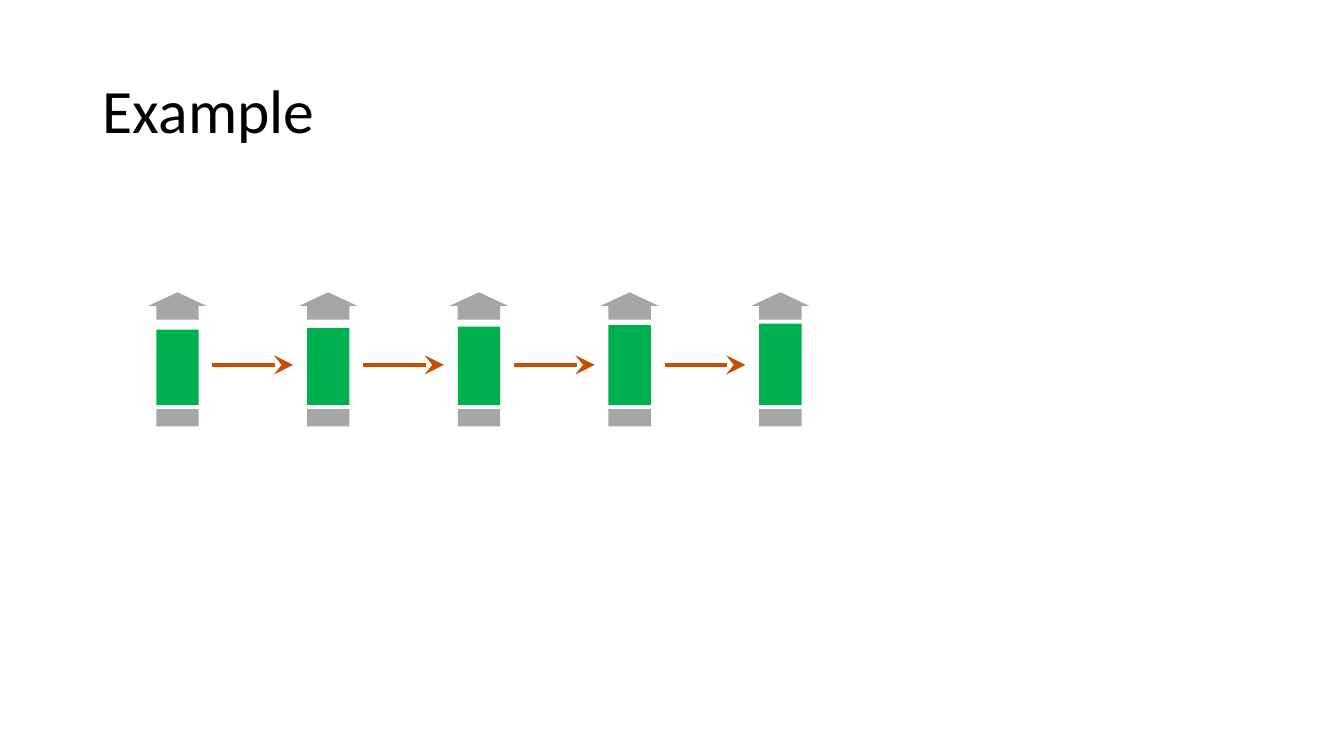
from dataclasses import dataclass

from lxml import etree
from pptx import Presentation
from pptx import util as u
from pptx.dml import color
from pptx.enum import shapes, text
from pptx.oxml import ns


@dataclass(frozen=True)
class Theme:
    font: str = "Calibri"
    title_size: float = 44
    arrow_width: float = 2.75
    ink: color.RGBColor = color.RGBColor.from_string("000000")
    bar: color.RGBColor = color.RGBColor.from_string("00B050")
    frame: color.RGBColor = color.RGBColor.from_string("A6A6A6")
    arrow: color.RGBColor = color.RGBColor.from_string("C64F00")


THEME = Theme()
STAGE_COUNT = 5


def place_title(slide, wording, left, top, width, height):
    title = slide.shapes.title
    title.left, title.top = u.Inches(left), u.Inches(top)
    title.width, title.height = u.Inches(width), u.Inches(height)
    frame = title.text_frame
    frame.text = wording
    frame.word_wrap = True
    frame.auto_size = text.MSO_AUTO_SIZE.NONE
    frame.vertical_anchor = text.MSO_ANCHOR.MIDDLE
    paragraph = frame.paragraphs[0]
    paragraph.alignment = text.PP_ALIGN.LEFT
    paragraph.line_spacing = 0.9
    paragraph.font.name = THEME.font
    paragraph.font.size = u.Pt(THEME.title_size)
    paragraph.font.color.rgb = THEME.ink


def add_block(slide, kind, fill, left, top, width, height):
    shape = slide.shapes.add_shape(
        kind, u.Inches(left), u.Inches(top), u.Inches(width), u.Inches(height)
    )
    shape.shadow.inherit = False
    shape.fill.solid()
    shape.fill.fore_color.rgb = fill
    shape.line.fill.background()
    return shape


def add_arrow(slide, left, middle, length):
    connector = slide.shapes.add_connector(
        shapes.MSO_CONNECTOR.STRAIGHT,
        u.Inches(left), u.Inches(middle), u.Inches(left + length), u.Inches(middle),
    )
    connector.line.color.rgb = THEME.arrow
    connector.line.width = u.Pt(THEME.arrow_width)
    etree.SubElement(
        connector.line._get_or_add_ln(), ns.qn("a:tailEnd"),
        type="stealth", w="lg", len="lg",
    )
    etree.SubElement(connector._element.spPr, ns.qn("a:effectLst"))


def add_stage(slide, left, top, width, height, bar_height):
    rectangle = shapes.MSO_SHAPE.RECTANGLE
    column_width, base_height, gap = 0.42, 0.17, 0.04
    column_left = left + (width - column_width) / 2
    base_top = top + height - base_height
    bar_top = base_top - gap - bar_height
    add_block(slide, rectangle, THEME.bar, column_left, bar_top, column_width, bar_height)
    cap = add_block(slide, shapes.MSO_SHAPE.UP_ARROW, THEME.frame, left, top, width, 0.27)
    cap.adjustments[0] = column_width / width
    cap.adjustments[1] = 0.5
    add_block(slide, rectangle, THEME.frame, column_left, base_top, column_width, base_height)


def add_stage_row(slide, left, top, width, height):
    stage_width, arrow_length = 0.58, 0.8
    pitch = (width - stage_width) / (STAGE_COUNT - 1)
    arrow_offset = stage_width + (pitch - stage_width - arrow_length) / 2
    for index in range(STAGE_COUNT):
        stage_left = left + index * pitch
        bar_height = 0.75 + 0.06 * index / (STAGE_COUNT - 1)
        add_stage(slide, stage_left, top, stage_width, height, bar_height)
        if index < STAGE_COUNT - 1:
            add_arrow(slide, stage_left + arrow_offset, top + 0.72, arrow_length)


def build_example_slide(presentation):
    slide = presentation.slides.add_slide(presentation.slide_layouts[5])
    place_title(slide, "Example", 0.92, 0.4, 11.5, 1.45)
    add_stage_row(slide, 1.47, 2.9, 6.56, 1.33)


def main():
    presentation = Presentation()
    presentation.slide_width = u.Inches(13.33)
    presentation.slide_height = u.Inches(7.5)
    build_example_slide(presentation)
    presentation.save("out.pptx")


if __name__ == "__main__":
    main()
